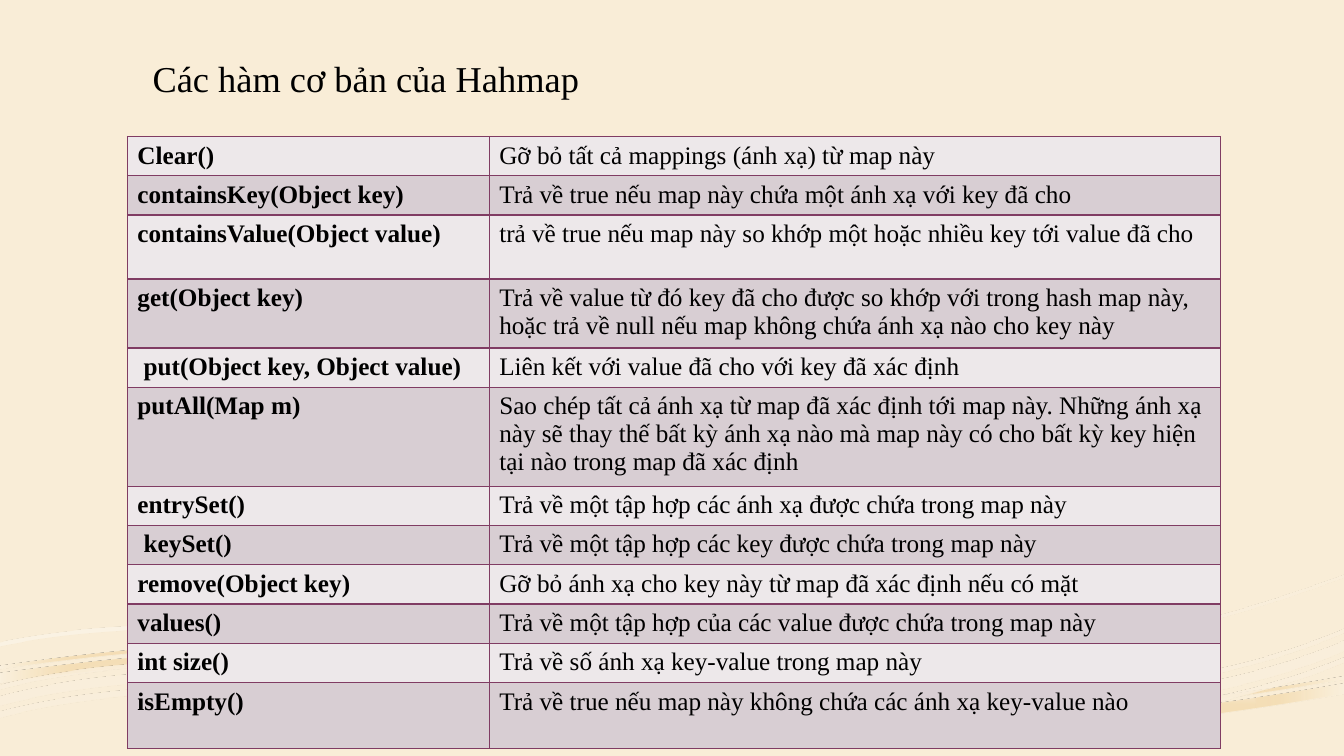
"""Build a slide listing the basic HashMap functions in a two-column table."""
from math import cos, radians, sin

from lxml import etree
from pptx import Presentation
from pptx.dml.color import RGBColor
from pptx.enum.text import MSO_ANCHOR, MSO_AUTO_SIZE, PP_ALIGN
from pptx.oxml import parse_xml
from pptx.oxml.ns import qn
from pptx.util import Cm, Pt

BOTTOM = MSO_ANCHOR.BOTTOM
NO_AUTOFIT = MSO_AUTO_SIZE.NONE
LEFT = PP_ALIGN.LEFT

CREAM = RGBColor(0xF9, 0xED, 0xD7)
PALE_SAND = RGBColor(0xFA, 0xF1, 0xDF)
SOFT_SAND = RGBColor(0xFA, 0xEF, 0xDC)
LIGHT_GOLD = RGBColor(0xF4, 0xDE, 0xB7)
GOLD = RGBColor(0xF4, 0xDD, 0xB3)
WHITE = RGBColor(0xFF, 0xFF, 0xFF)
BLACK = RGBColor(0x00, 0x00, 0x00)
PLUM = RGBColor(0x80, 0x3C, 0x63)
ROW_FILLS = (RGBColor(0xED, 0xE8, 0xEA), RGBColor(0xD8, 0xCE, 0xD3))

FONT = "Times New Roman"
NAMESPACE = "http://schemas.openxmlformats.org/drawingml/2006/main"
TILT = -3.5
BORDER_SIDES = ("a:lnL", "a:lnR", "a:lnT", "a:lnB")

LINEAR = '<a:lin ang="2700000" scaled="0"/>'
FROM_CENTER = ('<a:path path="shape"><a:fillToRect l="50000" t="50000" '
               'r="50000" b="50000"/></a:path>')
FROM_CORNER = '<a:path path="rect"><a:fillToRect l="100000" t="100000"/></a:path>'

# Each wave: frame before tilting, contours of Bezier curves on the slide (centimetres),
# gradient stops and gradient direction
WAVES = [
    ((0.03, 15.54, 33.81, 3.43),
     [[[(7.77, 16.38), (17.02, 16.43), (18.75, 19.86), (33.87, 17.22)],
       [(33.87, 17.48), (15.29, 20.73), (16.94, 14.81), (0, 17.22)],
       [(0, 16.97), (3.15, 16.54), (5.64, 16.36), (7.77, 16.38)]],
      [[(7.77, 16.2), (17.02, 16.25), (18.75, 19.69), (33.87, 17.04)],
       [(33.87, 17.12), (15.29, 20.37), (16.94, 14.45), (0, 16.87)],
       [(0, 16.79), (3.15, 16.33), (5.64, 16.18), (7.77, 16.2)]]],
     [(0, PALE_SAND, 90), (18, LIGHT_GOLD, 100), (37, GOLD, 90), (100, PALE_SAND, 100)],
     FROM_CENTER),
    ((0.08, 14.94, 33.91, 4.34),
     [[[(33.87, 14.55), (19.15, 20.02), (9.47, 14.3), (0, 16.28)],
       [(0, 16.18), (9.47, 14.2), (19.15, 19.91), (33.87, 14.48)]]],
     [(36, WHITE, 30), (100, CREAM, 48)], LINEAR),
    ((-0.03, 15.88, 33.93, 2.92),
     [[[(33.87, 16.69), (24.26, 20.7), (8.86, 15.7), (0, 18.08)],
       [(0, 17.93), (8.86, 15.54), (24.26, 20.57), (33.87, 16.56)]],
      [[(33.87, 16.41), (24.26, 20.42), (8.86, 15.39), (0, 17.78)],
       [(0, 17.55), (8.86, 15.14), (24.26, 20.17), (33.87, 16.15)]],
      [[(33.87, 15.95), (24.33, 20.07), (8.92, 15.06), (0, 17.37)],
       [(0, 17.27), (8.92, 14.96), (24.33, 19.96), (33.87, 15.85)]]],
     [(36, WHITE, 47), (100, SOFT_SAND, 82)], FROM_CORNER),
]

FUNCTIONS = [
    ("Clear()", "Gỡ bỏ tất cả mappings (ánh xạ) từ map này", 0.99),
    ("containsKey(Object key)", "Trả về true nếu map này chứa một ánh xạ với key đã cho", 0.99),
    ("containsValue(Object value)",
     "trả về true nếu map này so khớp một hoặc nhiều key tới value đã cho", 1.61),
    ("get(Object key)",
     "Trả về value từ đó key đã cho được so khớp với trong hash map này, "
     "hoặc trả về null nếu map không chứa ánh xạ nào cho key này", 1.74),
    (" put(Object key, Object value)", "Liên kết với value đã cho với key đã xác định", 0.99),
    ("putAll(Map m)",
     "Sao chép tất cả ánh xạ từ map đã xác định tới map này. Những ánh xạ này sẽ thay thế "
     "bất kỳ ánh xạ nào mà map này có cho bất kỳ key hiện tại nào trong map đã xác định", 2.49),
    ("entrySet()", "Trả về một tập hợp các ánh xạ được chứa trong map này", 0.99),
    (" keySet()", "Trả về một tập hợp các key được chứa trong map này", 0.99),
    ("remove(Object key)", "Gỡ bỏ ánh xạ cho key này từ map đã xác định nếu có mặt", 0.99),
    ("values()", "Trả về một tập hợp của các value được chứa trong map này", 0.99),
    ("int size()", "Trả về số ánh xạ key-value trong map này", 0.99),
    ("isEmpty()", "Trả về true nếu map này không chứa các ánh xạ key-value nào", 1.66),
]


def add_step(outline, kind, points, frame):
    left, top, width, height = frame
    cosine, sine = cos(radians(-TILT)), sin(radians(-TILT))
    step = etree.SubElement(outline, qn(kind))
    for x, y in points:
        across, down = x - left - width / 2, y - top - height / 2
        local_x = Cm(across * cosine - down * sine + width / 2)
        local_y = Cm(across * sine + down * cosine + height / 2)
        etree.SubElement(step, qn("a:pt"), x=str(int(local_x)), y=str(int(local_y)))


def add_run(paragraph, text, size, bold=False):
    run = paragraph.add_run()
    run.text = text
    run.font.name = FONT
    run.font.size = Pt(size)
    run.font.bold = bold
    run.font.color.rgb = BLACK


presentation = Presentation()
presentation.slide_width = Cm(33.87)
presentation.slide_height = Cm(19.05)
slide = presentation.slides.add_slide(presentation.slide_layouts[5])
slide.background.fill.solid()
slide.background.fill.fore_color.rgb = CREAM

title = slide.shapes.title
title.left, title.top, title.width, title.height = Cm(3.59), Cm(0.86), Cm(26.67), Cm(1.8)
title.text_frame.auto_size = NO_AUTOFIT
title.text_frame.vertical_anchor = BOTTOM
title_paragraph = title.text_frame.paragraphs[0]
title_paragraph.alignment = LEFT
title_paragraph.line_spacing = 0.9
add_run(title_paragraph, "Các hàm cơ bản của Hahmap", 26)

waves = slide.shapes.add_group_shape()
title._element.addprevious(waves._element)
for frame, contours, stops, direction in WAVES:
    left, top, width, height = (Cm(length) for length in frame)
    builder = waves.shapes.build_freeform(left, top)
    builder.add_line_segments([(left + width, top), (left + width, top + height),
                               (left, top + height)])
    wave = builder.convert_to_shape()
    wave.rotation = TILT
    wave.shadow.inherit = False
    wave.line.fill.background()
    geometry = wave._element.spPr.find(qn("a:custGeom"))
    outline = geometry.find(qn("a:pathLst"))[0]
    for corner in list(outline):
        outline.remove(corner)
    for contour in contours:
        add_step(outline, "a:moveTo", contour[0][:1], frame)
        end = contour[0][0]
        for curve in contour:
            if curve[0] != end:
                add_step(outline, "a:lnTo", curve[:1], frame)
            add_step(outline, "a:cubicBezTo", curve[1:], frame)
            end = curve[-1]
        etree.SubElement(outline, qn("a:close"))
    stop_xml = "".join(
        f'<a:gs pos="{position * 1000}"><a:srgbClr val="{color}">'
        f'<a:alpha val="{opacity * 1000}"/></a:srgbClr></a:gs>'
        for position, color, opacity in stops)
    geometry.addnext(parse_xml(f'<a:gradFill xmlns:a="{NAMESPACE}" rotWithShape="1">'
                               f'<a:gsLst>{stop_xml}</a:gsLst>{direction}</a:gradFill>'))

table_height = Cm(sum(height for _, _, height in FUNCTIONS))
table = slide.shapes.add_table(len(FUNCTIONS), 2, Cm(3.21), Cm(3.44),
                               Cm(27.54), table_height).table
table.first_row = False
table.horz_banding = False
table.columns[0].width = Cm(9.12)
table.columns[1].width = Cm(18.42)
for row_index, (name, description, height) in enumerate(FUNCTIONS):
    table.rows[row_index].height = Cm(height)
    for column_index, text in enumerate((name, description)):
        cell = table.cell(row_index, column_index)
        add_run(cell.text_frame.paragraphs[0], text, 18, bold=column_index == 0)
        properties = cell._tc.get_or_add_tcPr()
        for side in BORDER_SIDES:
            border = etree.SubElement(properties, qn(side), w=str(Pt(1)))
            border_fill = etree.SubElement(border, qn("a:solidFill"))
            etree.SubElement(border_fill, qn("a:srgbClr"), val=str(PLUM))
        cell.fill.solid()
        cell.fill.fore_color.rgb = ROW_FILLS[row_index % 2]

presentation.save("out.pptx")
